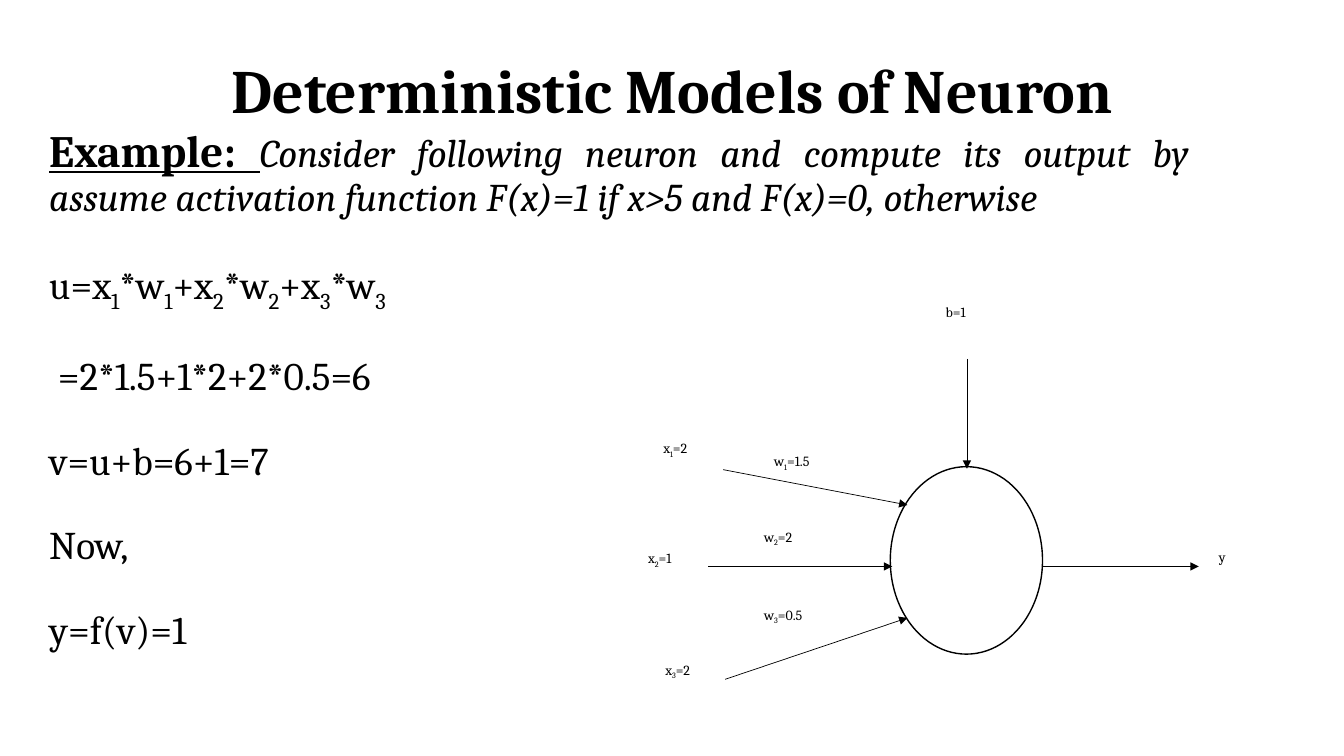
from lxml.etree import SubElement
from pptx import Presentation
from pptx.dml.color import RGBColor
from pptx.enum.shapes import MSO_CONNECTOR, MSO_SHAPE
from pptx.enum.text import MSO_ANCHOR, MSO_AUTO_SIZE, PP_ALIGN
from pptx.oxml.ns import qn
from pptx.util import Pt

PX = 9144  # EMU in one px, 100 px to the inch
FONT = "Cambria"
COLOURS = {"ink": "000000", "paper": "FFFFFF"}

TITLE = "Deterministic Models of Neuron"
TITLE_BOX = (92, 40, 1150, 105)
BODY_BOX = (39, 123, 1150, 585)
EXAMPLE = "Example: "
QUESTION = ("Consider following neuron and compute its output by assume "
            "activation function F(x)=1 if x>5 and F(x)=0, otherwise")
# An underscore makes the next character a subscript.
STEPS = [
    "u=x_1*w_1+x_2*w_2+x_3*w_3",
    " =2*1.5+1*2+2*0.5=6",
    "v=u+b=6+1=7",
    "Now,",
    "y=f(v)=1",
]

LABEL_HEIGHT = 58
WEIGHT_WIDTH, SIGNAL_WIDTH = 87, 69
WEIGHTS = [("w_3=0.5", 748, 595), ("w_2=2", 748, 518), ("w_1=1.5", 758, 443)]
SIGNALS = [("x_1=2", 648, 430), ("x_2=1", 633, 539), ("x_3=2", 650, 650),
           ("b=1", 928, 295), ("y", 1199, 538)]
NEURON_BOX = (883, 463, 151, 186)
ARROWS = [
    (702, 463, 900, 501),
    (702, 562, 885, 562),
    (719, 674, 900, 613),
    (959, 356, 959, 465),
    (1033, 562, 1189, 562),
]


def emu(lengths):
    return [length * PX for length in lengths]


def colour(name):
    return RGBColor.from_string(COLOURS[name])


def write(paragraph, text, size, bold=False, italic=False, underline=False,
          align=PP_ALIGN.LEFT, spacing=1.0, before=0, after=0):
    """Add text to a paragraph, with subscripts after underscores."""
    paragraph.alignment = align
    paragraph.line_spacing = spacing
    paragraph.space_before, paragraph.space_after = Pt(before), Pt(after)
    first, *rest = text.split("_")
    pieces = [(first, False)]
    for part in rest:
        pieces += [(part[0], True), (part[1:], False)]
    for piece, subscript in pieces:
        if not piece:
            continue
        run = paragraph.add_run()
        run.text = piece
        font = run.font
        font.name, font.size = FONT, Pt(size)
        font.bold, font.italic, font.underline = bold, italic, underline
        font.color.rgb = colour("ink")
        if subscript:
            run._r.get_or_add_rPr().set("baseline", "-25000")


def add_label(slide, text, left, top, width):
    shape = slide.shapes.add_shape(
        MSO_SHAPE.RECTANGLE, *emu((left, top, width, LABEL_HEIGHT)))
    shape.shadow.inherit = False
    shape.fill.solid()
    shape.fill.fore_color.rgb = colour("paper")
    shape.line.fill.background()
    shape.text_frame.vertical_anchor = MSO_ANCHOR.TOP
    write(shape.text_frame.paragraphs[0], text, 10, spacing=1.07, after=8)


def add_neuron(slide):
    neuron = slide.shapes.add_shape(MSO_SHAPE.OVAL, *emu(NEURON_BOX))
    neuron.shadow.inherit = False
    neuron.fill.background()
    neuron.line.color.rgb = colour("ink")
    neuron.line.width = Pt(1)


def add_arrow(slide, ends):
    arrow = slide.shapes.add_connector(MSO_CONNECTOR.STRAIGHT, *emu(ends))
    arrow.line.color.rgb = colour("ink")
    arrow.line.width = Pt(0.5)
    SubElement(arrow.line._get_or_add_ln(), qn("a:tailEnd"), type="triangle")
    SubElement(arrow._element.spPr, qn("a:effectLst"))


def add_title(slide):
    title = slide.shapes.title
    title.left, title.top, title.width, title.height = emu(TITLE_BOX)
    frame = title.text_frame
    frame.auto_size = MSO_AUTO_SIZE.NONE
    frame.vertical_anchor = MSO_ANCHOR.MIDDLE
    write(frame.paragraphs[0], TITLE, 44, bold=True,
          align=PP_ALIGN.CENTER, spacing=0.9)


def add_body(slide):
    frame = slide.shapes.add_textbox(*emu(BODY_BOX)).text_frame
    frame.word_wrap = True
    intro = frame.paragraphs[0]
    layout = dict(align=PP_ALIGN.JUSTIFY, spacing=0.9, before=10)
    write(intro, EXAMPLE, 32, bold=True, underline=True, **layout)
    write(intro, QUESTION, 28, italic=True, **layout)
    for step in STEPS:
        write(frame.add_paragraph(), step, 28, spacing=1.5, before=10)


def main():
    presentation = Presentation()
    presentation.slide_width, presentation.slide_height = emu((1333, 750))
    slide = presentation.slides.add_slide(presentation.slide_layouts[5])
    add_title(slide)
    add_body(slide)
    for text, left, top in WEIGHTS:
        add_label(slide, text, left, top, WEIGHT_WIDTH)
    add_neuron(slide)
    for ends in ARROWS:
        add_arrow(slide, ends)
    for text, left, top in SIGNALS:
        add_label(slide, text, left, top, SIGNAL_WIDTH)
    presentation.save("out.pptx")


if __name__ == "__main__":
    main()
